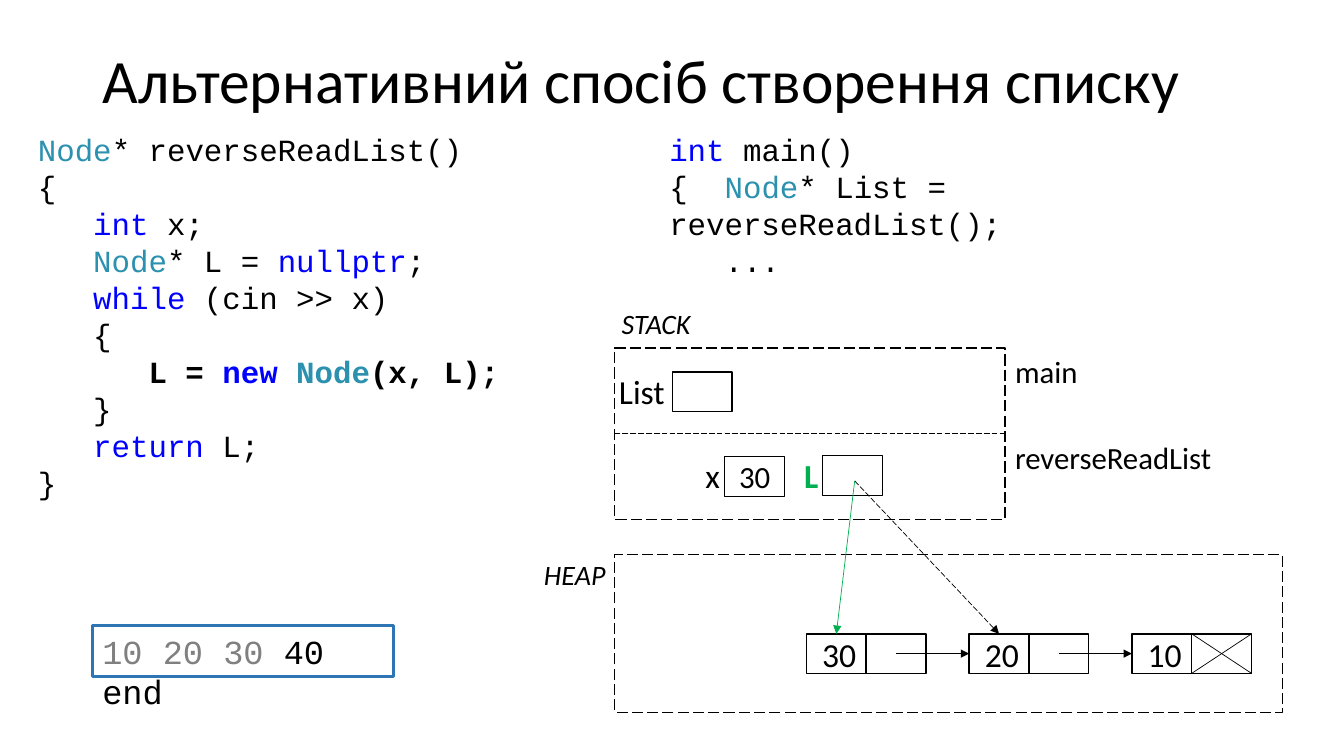
"""Build a slide on filling a linked list from its head, with code, stack and heap."""
from dataclasses import dataclass
from lxml.etree import SubElement
from pptx import Presentation
from pptx.dml.color import RGBColor as Rgb
from pptx.enum.dml import MSO_LINE as Dash
from pptx.enum.shapes import MSO_CONNECTOR as Link, MSO_SHAPE as Kind
from pptx.enum.text import MSO_ANCHOR as Anchor, PP_ALIGN as Align
from pptx.oxml.ns import qn
from pptx.util import Pt


@dataclass(frozen=True)
class Theme:
    ink: str = "000000"
    word: str = "0000FF"
    type: str = "2B91AF"
    past: str = "808080"
    edge: str = "2E75B6"
    new: str = "00B050"
    sans: str = "Calibri"
    mono: str = "Courier New"
    head: int = 44
    big: int = 24
    mid: int = 22
    small: int = 20
    thin: float = 0.5
    line: float = 1
    bold: float = 2.25


look = Theme()
TITLE = "Альтернативний спосіб створення списку"
TINTS = {"Node": look.type, "int": look.word, "nullptr": look.word, "while": look.word,
         "new": look.word, "return": look.word, "10 20 30": look.past}
READ = ["Node|* reverseReadList()", "{", "   int| x;", "   Node|* L = |nullptr|;",
        "   while| (cin >> x)", "   {", "      L = |new| |Node|(x, L);", "   }",
        "   return| L;", "}"]
MAIN = ["int| main()", "{  |Node|* List = reverseReadList();", "   ..."]
INPUT = ["10 20 30| 40 end"]
NODES = ["30", "20", "10"]
CELL_W, CELL_H = 42.75, 28.25
LEFT, TOP, WIDE, TALL = 439, 248.5, 279, 61.25
HEAP = (LEFT, 396, 477, 113)
NODE_X, NODE_Y, PITCH = 576, 452.75, 116.25
LABELS = [
    ("STACK", (437, 215.25, 80, 32), dict(size=look.small, slant=True)),
    ("HEAP", (381.5, 394.5, 80, 32), dict(size=look.small, slant=True)),
    ("main", (LEFT + WIDE, TOP, 100, 34), dict(size=look.mid)),
    ("reverseReadList", (LEFT + WIDE, TOP + TALL, 180, 34), dict(size=look.mid)),
    ("List", (435, 261.5, 60, 36), {}),
    ("x", (496.75, 321.25, 30, 36), {}),
    ("L", (567.25, 321.25, 30, 36), dict(tint=look.new, strong=True)),
]
SLOTS = [("", 480.25, 265.75), ("30", 517.75, 326.25), ("", 587.5, 325.5)]

deck = Presentation()
deck.slide_width, deck.slide_height = Pt(960), Pt(540)
slide = deck.slides.add_slide(deck.slide_layouts[5])
shapes = slide.shapes


def write(frame, lines, size=look.big, font=look.sans, tint=look.ink, strong=False,
          slant=False, align=Align.LEFT, anchor=Anchor.TOP, gap=None):
    frame.word_wrap, frame.vertical_anchor = True, anchor
    for i, line in enumerate(lines):
        para = frame.add_paragraph() if i else frame.paragraphs[0]
        para.alignment, para.line_spacing = align, gap
        for part in line.split("|"):
            run = para.add_run()
            run.text = part
            face = run.font
            face.size, face.name = Pt(size), font
            face.bold, face.italic = strong or "new" in line.split("|"), slant
            face.color.rgb = Rgb.from_string(TINTS.get(part.strip(), tint))


def label(lines, box, **style):
    write(shapes.add_textbox(*map(Pt, box)).text_frame, lines, **style)


def stroke(line, tint, width, dash):
    line.color.rgb, line.width = Rgb.from_string(tint), Pt(width)
    if dash:
        line.dash_style = Dash.LONG_DASH


def frame(box, lines=(), tint=look.ink, width=look.line, dash=False, **style):
    shape = shapes.add_shape(Kind.RECTANGLE, *map(Pt, box))
    shape.shadow.inherit = False
    shape.fill.background()
    stroke(shape.line, tint, width, dash)
    if lines:
        write(shape.text_frame, lines, **style)


def link(start, end, tint=look.ink, dash=False, arrow=True):
    wire = shapes.add_connector(Link.STRAIGHT, *map(Pt, start + end))
    stroke(wire.line, tint, look.thin, dash)
    if arrow:
        SubElement(wire.line._get_or_add_ln(), qn("a:tailEnd"), type="triangle")
    SubElement(wire._element.spPr, qn("a:effectLst"))


title = shapes.title
title.left, title.top, title.width, title.height = map(Pt, (66, 29, 828, 61))
write(title.text_frame, [TITLE], size=look.head, anchor=Anchor.MIDDLE, gap=0.9)
label(MAIN, (471, 90, 435, 87), size=look.mid, font=look.mono)
label(READ, (20, 90, 361.5, 274), size=look.mid, font=look.mono)
frame((66, 447, 215.25, 36), INPUT, tint=look.edge, width=look.bold, font=look.mono)

frame((LEFT, TOP, WIDE, 2 * TALL), dash=True)
link((LEFT, TOP + TALL), (LEFT + WIDE, TOP + TALL), dash=True, arrow=False)
frame(HEAP, dash=True)
for text, box, style in LABELS:
    label([text], box, **style)
for text, x, y in SLOTS:
    frame((x, y, CELL_W, CELL_H), [text] if text else (), size=look.mid,
          align=Align.CENTER, anchor=Anchor.MIDDLE)

mid, base = NODE_Y + CELL_H / 2, NODE_Y + CELL_H
for i, text in enumerate(NODES):
    x = NODE_X + i * PITCH
    next_x = x + CELL_W
    frame((x, NODE_Y, CELL_W, CELL_H), [text], align=Align.RIGHT, anchor=Anchor.MIDDLE)
    frame((next_x, NODE_Y, CELL_W, CELL_H))
    if i < len(NODES) - 1:
        link((next_x + CELL_W / 2, mid), (x + PITCH, mid))
    else:
        link((next_x, NODE_Y), (next_x + CELL_W, base), arrow=False)
        link((next_x, base), (next_x + CELL_W, NODE_Y), arrow=False)

root = (610.5, 343.5)
link(root, (NODE_X + PITCH + CELL_W / 2, NODE_Y), dash=True)
link(root, (NODE_X + CELL_W / 2, NODE_Y), tint=look.new)
deck.save("out.pptx")
